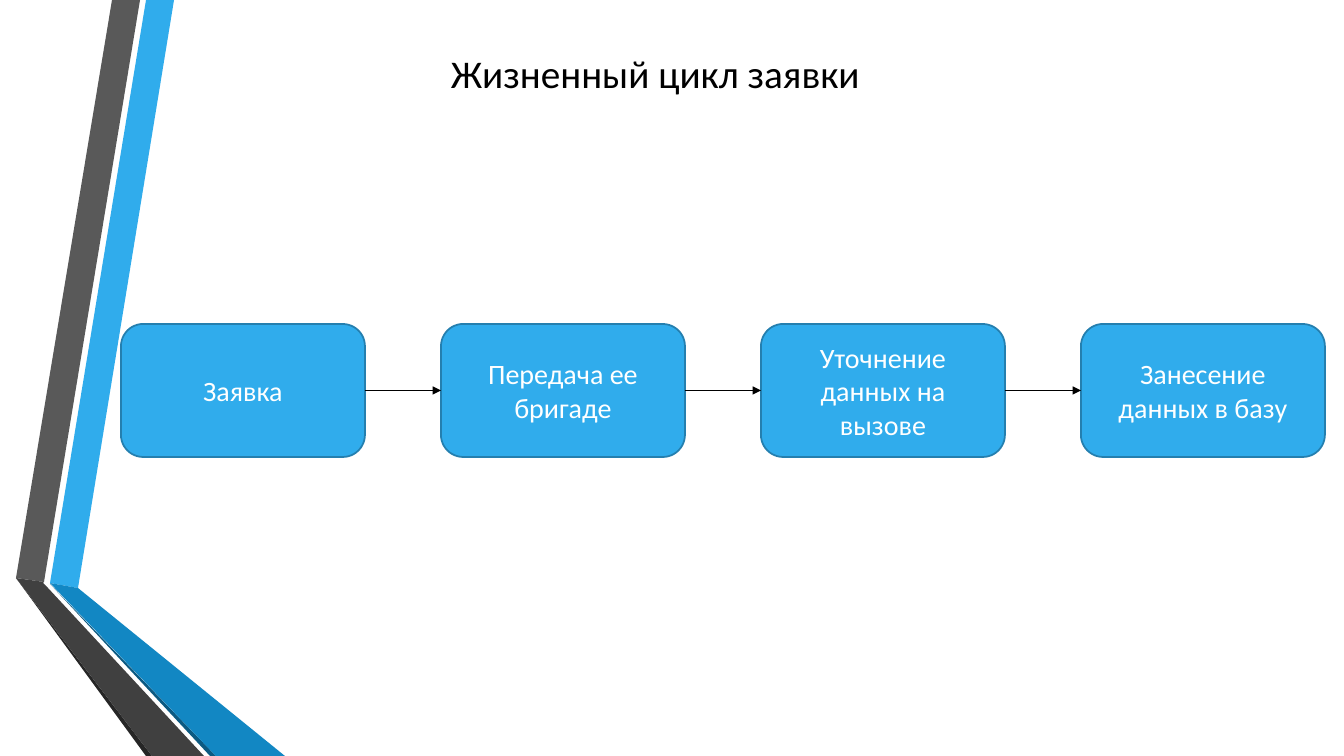
from lxml import etree
from pptx import Presentation, util as u
from pptx.dml.color import RGBColor
from pptx.enum import shapes, text
from pptx.oxml.ns import qn

PX = 914400 / 100.8


def px(*lengths):
    return [u.Emu(round(length * PX)) for length in lengths]


def write(shape, wording, size, color, align, anchor):
    frame = shape.text_frame
    frame.word_wrap = True
    frame.vertical_anchor = anchor
    para = frame.paragraphs[0]
    para.alignment = align
    span = para.add_run()
    span.text = wording
    span.font.name = "Calibri"
    span.font.size = u.Pt(size)
    span.font.color.rgb = RGBColor.from_string(color)


deck = Presentation()
deck.slide_width, deck.slide_height = px(1344, 756)
page = deck.slides.add_slide(deck.slide_layouts[6])

ribbons = [
    ("30ACEC", [(50, 583), (78, 588), (174, 0), (146, 0)]),
    ("595959", [(140, 0), (112, 0), (16, 578), (44, 582)]),
    ("262626", [(16, 578), (146, 756), (152, 756)]),
    ("0C5A82", [(50, 584), (210, 756), (216, 756)]),
    ("1287C3", [(50, 583), (216, 756), (285, 756), (78, 588)]),
    ("404040", [(204, 756), (48, 588), (43, 583), (44, 582), (16, 578), (152, 756)]),
]
for color, points in ribbons:
    outline = page.shapes.build_freeform(*points[0], scale=PX)
    outline.add_line_segments(points[1:], close=True)
    ribbon = outline.convert_to_shape()
    ribbon.shadow.inherit = False
    ribbon.fill.solid()
    ribbon.fill.fore_color.rgb = RGBColor.from_string(color)
    ribbon.line.fill.background()

stages = ["Заявка", "Передача ее бригаде", "Уточнение данных на вызове", "Занесение данных в базу"]
left, top, width, height, pitch = 121, 324, 244, 133, 320
boxes = []
for index, stage in enumerate(stages):
    box = page.shapes.add_shape(
        shapes.MSO_SHAPE.ROUNDED_RECTANGLE, *px(left + index * pitch, top, width, height))
    box.shadow.inherit = False
    box.fill.solid()
    box.fill.fore_color.rgb = RGBColor.from_string("30ACEC")
    box.line.color.rgb = RGBColor.from_string("247FAF")
    box.line.width = u.Pt(1.25)
    write(box, stage, 20, "FFFFFF", text.PP_ALIGN.CENTER, text.MSO_ANCHOR.MIDDLE)
    boxes.append(box)

for source, target in zip(boxes, boxes[1:]):
    arrow = page.shapes.add_connector(shapes.MSO_CONNECTOR.STRAIGHT, 0, 0, 0, 0)
    arrow.begin_connect(source, 3)
    arrow.end_connect(target, 1)
    arrow.line.color.rgb = RGBColor.from_string("000000")
    arrow.line.width = u.Pt(0.75)
    etree.SubElement(arrow.line._get_or_add_ln(), qn("a:tailEnd"), type="triangle")
    etree.SubElement(arrow._element.spPr, qn("a:effectLst"))

title = page.shapes.add_textbox(*px(441, 44, 454, 57))
write(title, "Жизненный цикл заявки", 28, "000000", text.PP_ALIGN.LEFT, text.MSO_ANCHOR.TOP)

deck.save("out.pptx")
